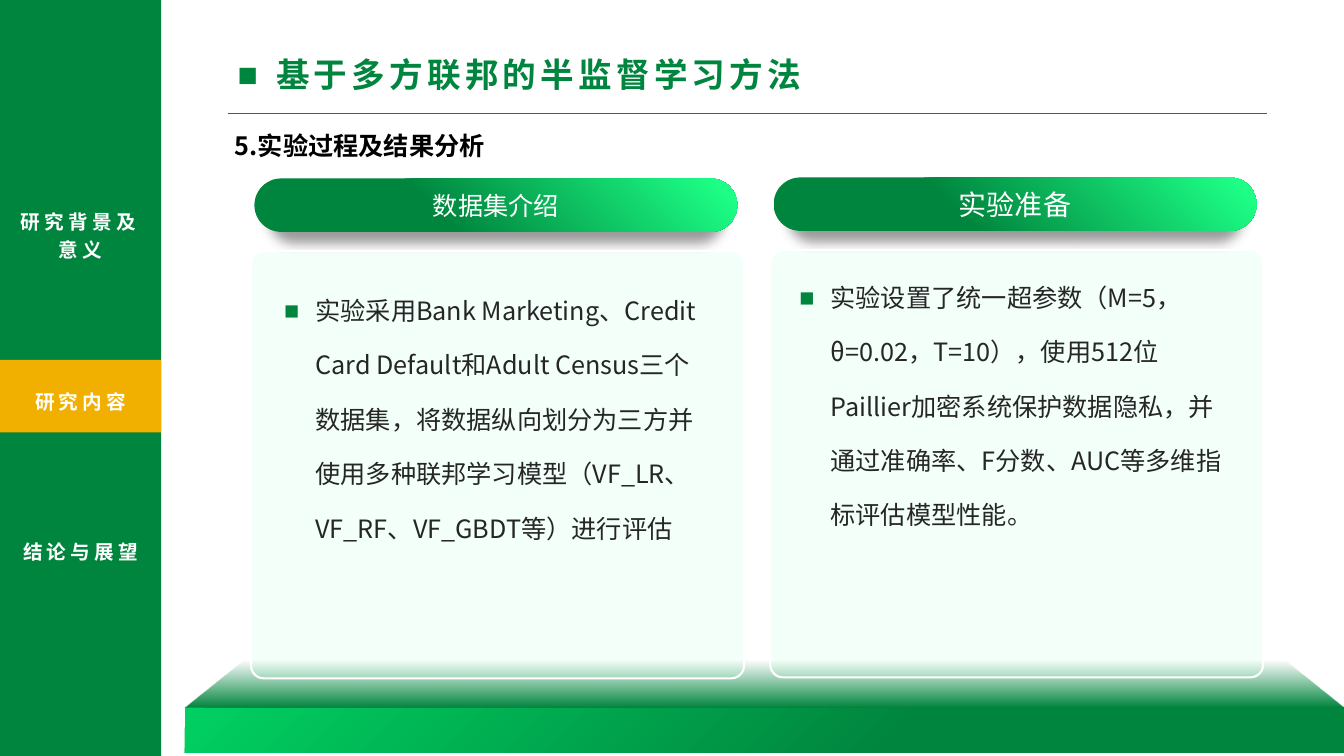
from pptx import Presentation, util as u
from pptx.dml.color import RGBColor
from pptx.enum import shapes, text
from pptx.oxml import parse_xml
from pptx.oxml.ns import nsdecls, qn

GREEN = RGBColor(0x00, 0x85, 0x3E)
LIME = RGBColor(0x1D, 0xFF, 0x86)
EMERALD = RGBColor(0x00, 0xD0, 0x61)
MINT = RGBColor(0xB4, 0xFF, 0xD7)
AMBER = RGBColor(0xF1, 0xB0, 0x00)
WHITE = RGBColor(0xFF, 0xFF, 0xFF)
BLACK = RGBColor(0x00, 0x00, 0x00)
INK = RGBColor(0x26, 0x26, 0x26)
SANS, KARLA = "Noto Sans CJK SC", "Karla"
SHAPE = shapes.MSO_SHAPE
CENTER = text.PP_ALIGN.CENTER


def element(tag, inner="", **attrs):
    listed = "".join(f' {k}="{v}"' for k, v in attrs.items())
    return parse_xml(f'<a:{tag} {nsdecls("a")}{listed}>{inner}</a:{tag}>')


def linear(angle):
    return f'<a:lin ang="{angle * 60000}" scaled="0"/>'


FROM_TOP_RIGHT = '<a:path path="circle"><a:fillToRect l="100000" b="100000"/></a:path>'


class Deck:
    def __init__(self):
        self.prs = Presentation()
        self.prs.slide_width, self.prs.slide_height = u.Inches(13.33), u.Inches(7.5)
        self.s = self.prs.slides.add_slide(self.prs.slide_layouts[6])

    def box(self, x, y, w, h):
        pw, ph = self.prs.slide_width / 100, self.prs.slide_height / 100
        return [round(v) for v in (x * pw, y * ph, w * pw, h * ph)]

    def shape(self, kind, area, color, adj=None, alpha=100, edge=None):
        sp = self.s.shapes.add_shape(kind, *self.box(*area))
        sp.shadow.inherit = False
        sp.fill.solid()
        sp.fill.fore_color.rgb = color
        if alpha < 100:
            solid = sp._element.spPr.find(qn("a:solidFill"))
            solid[0].append(element("alpha", val=alpha * 1000))
        if edge is None:
            sp.line.fill.background()
        else:
            sp.line.color.rgb = edge
            sp.line.width = u.Pt(1.5)
        if adj is not None:
            sp.adjustments[0] = adj
        return sp

    def gradient(self, kind, area, stops, direction, adj):
        sp = self.shape(kind, area, GREEN, adj)
        gs = "".join(
            f'<a:gs pos="{pos * 1000}"><a:srgbClr val="{color}">'
            f'<a:alpha val="{alpha * 1000}"/></a:srgbClr></a:gs>'
            for pos, color, alpha in stops)
        solid = sp._element.spPr.find(qn("a:solidFill"))
        fill = element("gradFill", f"<a:gsLst>{gs}</a:gsLst>{direction}", rotWithShape=1)
        solid.getparent().replace(solid, fill)
        return sp

    def add_words(self, tf, words, size, color, font=SANS, bold=False, tracking=0,
                  align=None, leading=None, indent=0, bullet=None):
        tf.word_wrap = True
        p = tf.paragraphs[0]
        if align is not None:
            p.alignment = align
        if leading:
            p.line_spacing = leading
        if indent:
            pPr = p._p.get_or_add_pPr()
            pPr.set("marL", str(u.Inches(indent)))
            pPr.set("indent", str(-u.Inches(indent)))
            pPr.append(element("buClr", f'<a:srgbClr val="{bullet}"/>'))
            pPr.append(element("buFont", typeface="Arial"))
            pPr.append(element("buChar", char="■"))
        r = p.add_run()
        r.text = words
        r.font.size, r.font.bold, r.font.name = u.Pt(size), bold, font
        r.font.color.rgb = color
        rPr = r._r.get_or_add_rPr()
        rPr.append(element("ea", typeface=SANS))
        if tracking:
            rPr.set("spc", str(tracking * 100))

    def text(self, area, words, size, color, **style):
        tf = self.s.shapes.add_textbox(*self.box(*area)).text_frame
        self.add_words(tf, words, size, color, **style)

    def rule(self, x1, x2, y):
        a, b, c, _ = self.box(x1, y, x2, 0)
        line = self.s.shapes.add_connector(shapes.MSO_CONNECTOR.STRAIGHT, a, b, c, b)
        line.line.color.rgb = GREEN
        line.line.width = u.Pt(0.5)
        line._element.spPr.append(element("effectLst"))

    def pill(self, area, words, size):
        sp = self.gradient(SHAPE.ROUNDED_RECTANGLE, area,
                           [(4, LIME, 100), (63, GREEN, 100)], FROM_TOP_RIGHT, 0.5)
        sp._element.spPr.find(qn("a:effectLst")).append(element(
            "outerShdw", '<a:srgbClr val="000000"><a:alpha val="40000"/></a:srgbClr>',
            blurRad=u.Pt(9), dist=u.Pt(9), dir=5400000, sx=94000, sy=94000,
            algn="ctr", rotWithShape=0))
        tf = sp.text_frame
        tf.margin_left = tf.margin_top = tf.margin_right = tf.margin_bottom = 0
        tf.vertical_anchor = text.MSO_ANCHOR.MIDDLE
        self.add_words(tf, words, size, WHITE, font=KARLA, align=CENTER)

    def card(self, x, y, heading, size, body, dx, dy):
        self.pill((x + 0.25, y - 9.6, 35.93, 7.07), heading, size)
        self.shape(SHAPE.ROUNDED_RECTANGLE, (x, y, 36.68, 56.53), MINT,
                   adj=0.03, alpha=15, edge=WHITE)
        self.text((x + dx, y + dy, 33.5, 49.2), body, 18, INK,
                  leading=1.8, indent=0.31, bullet=GREEN)


def main():
    d = Deck()
    d.rule(16.95, 94.3, 14.93)
    d.text((16.95, 6.53, 64.3, 6.67), "基于多方联邦的半监督学习方法", 24, GREEN,
           bold=True, tracking=3, indent=0.38, bullet=GREEN)
    d.text((16.73, 16.53, 40.2, 5.33), "5.实验过程及结果分析", 18, BLACK, bold=True)

    d.gradient(SHAPE.ROUNDED_RECTANGLE, (13.73, 93.6, 86.27, 6),
               [(0, EMERALD, 100), (62, GREEN, 100)], linear(45), 0)
    d.gradient(SHAPE.TRAPEZOID, (13.73, 85.07, 86.27, 8.53),
               [(27, GREEN, 0), (100, GREEN, 100)], linear(90), 1.27)

    d.card(18.68, 33.2, "数据集介绍", 18,
           "实验采用Bank Marketing、Credit Card Default和Adult Census三个数据集，"
           "将数据纵向划分为三方并使用多种联邦学习模型（VF_LR、VF_RF、VF_GBDT等）进行评估",
           1.73, 2)
    d.card(57.31, 33.07, "实验准备", 20,
           "实验设置了统一超参数（M=5，θ=0.02，T=10），使用512位Paillier加密系统保护数据隐私，"
           "并通过准确率、F分数、AUC等多维指标评估模型性能。",
           1.43, 0.4)

    d.shape(SHAPE.RECTANGLE, (0, 0, 12, 100), GREEN)
    d.shape(SHAPE.RECTANGLE, (0, 47.6, 12, 9.6), AMBER)
    for label, y, h in [("研究背景及意义", 26.53, 8.8), ("研究内容", 50.27, 5.07),
                        ("结论与展望", 70.13, 5.07)]:
        d.text((0, y, 12, h), label, 14, WHITE, bold=True, tracking=3,
               align=CENTER, leading=1.2)
    d.prs.save("out.pptx")


if __name__ == "__main__":
    main()
